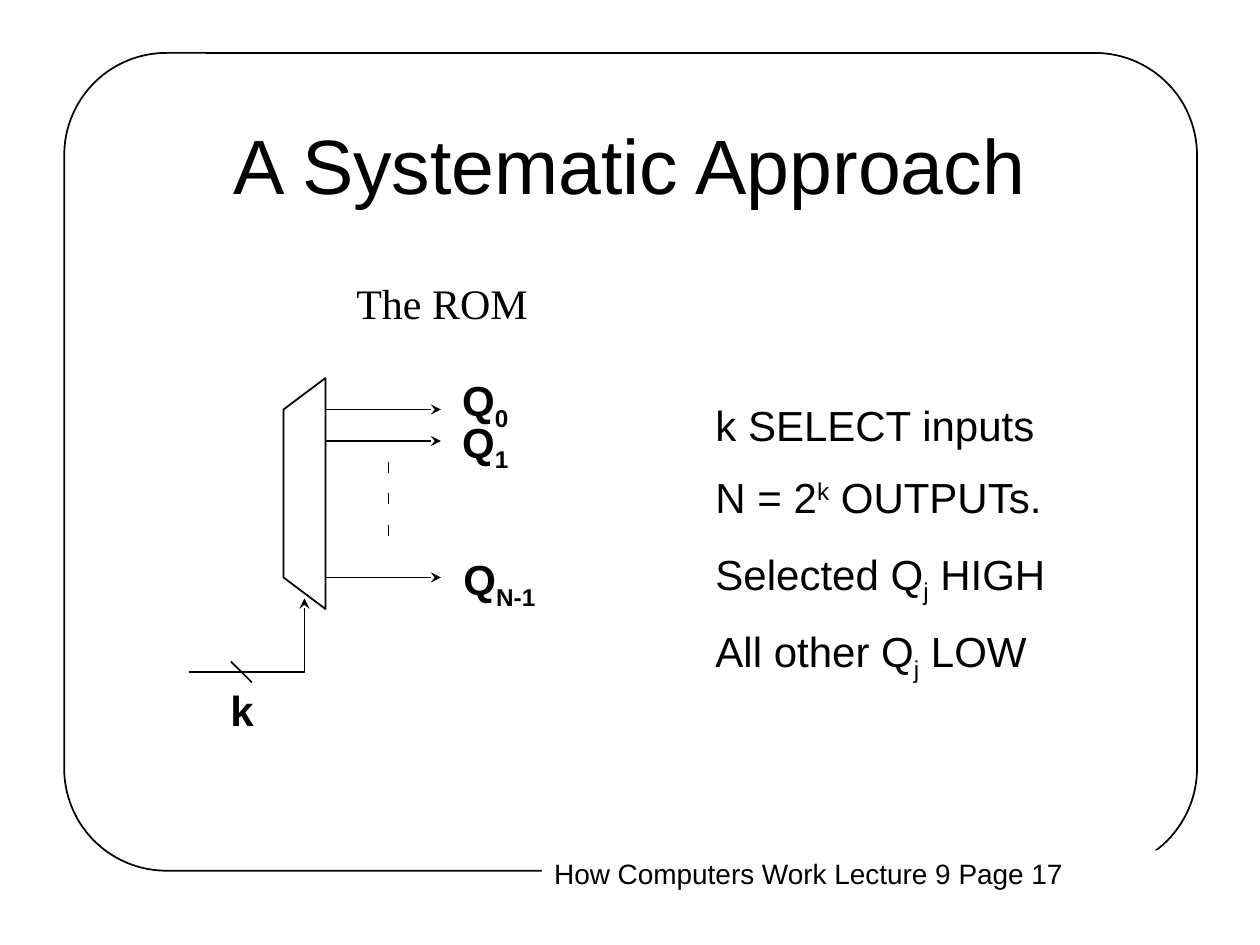
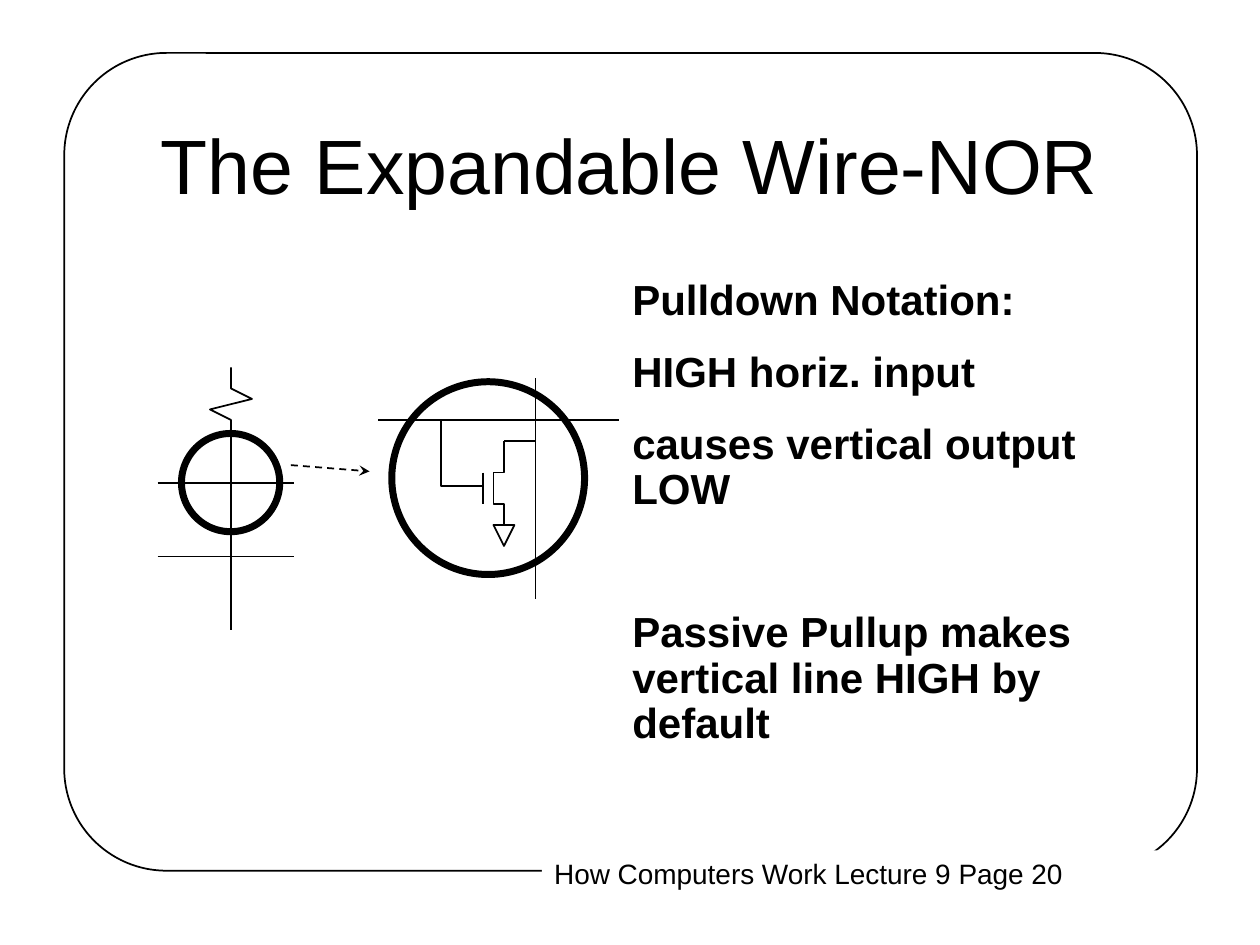
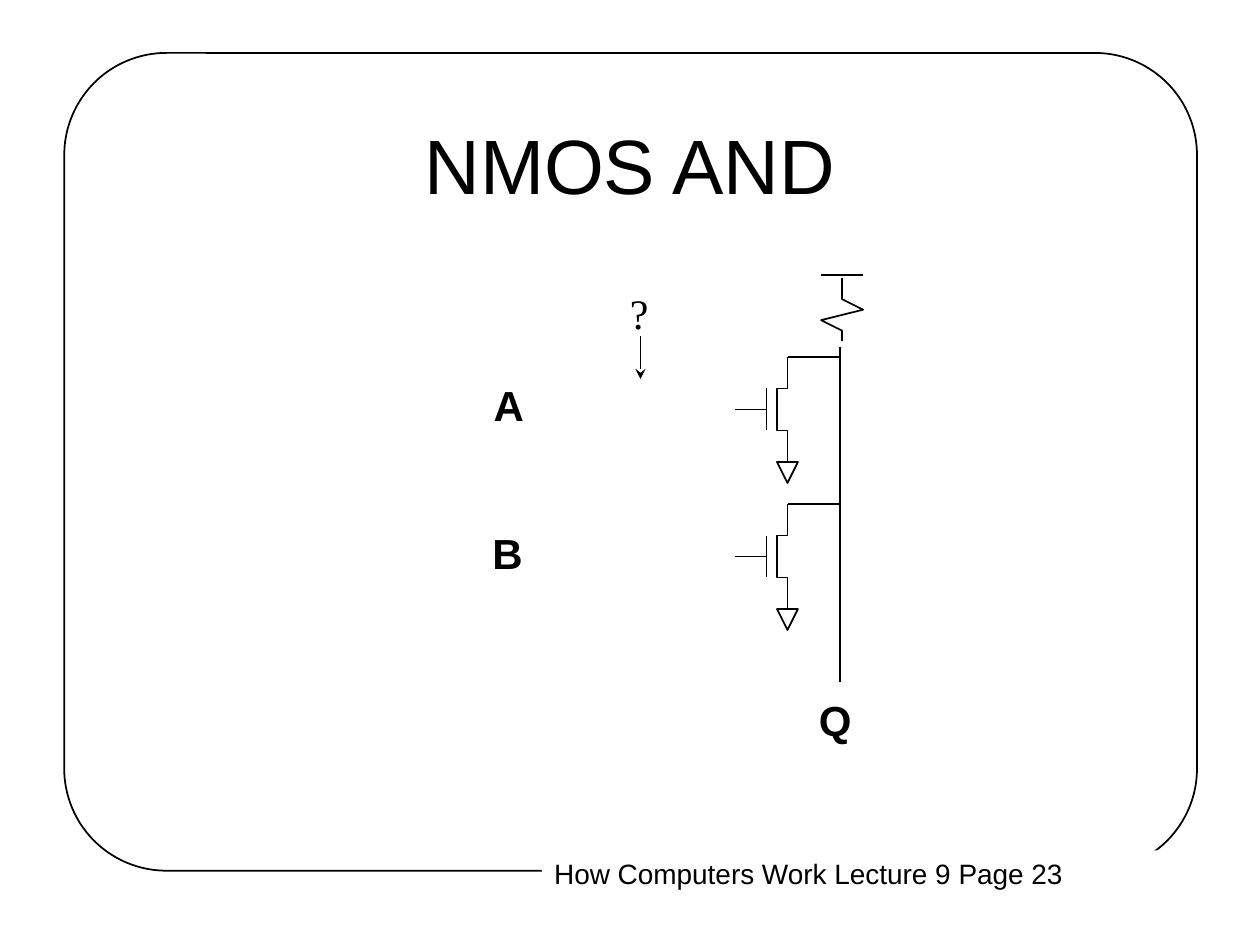
from pptx import Presentation
from pptx.dml.color import RGBColor
from pptx.enum.dml import MSO_LINE
from pptx.enum.shapes import MSO_CONNECTOR, MSO_SHAPE
from pptx.enum.text import MSO_ANCHOR, MSO_AUTO_SIZE, PP_ALIGN
from pptx.oxml.ns import qn
from pptx.util import Emu, Inches, Pt
from lxml import etree

STRAIGHT = MSO_CONNECTOR.STRAIGHT
OVAL, ROUNDED, RECTANGLE = MSO_SHAPE.OVAL, MSO_SHAPE.ROUNDED_RECTANGLE, MSO_SHAPE.RECTANGLE
DASH = MSO_LINE.DASH
TOP, MIDDLE = MSO_ANCHOR.TOP, MSO_ANCHOR.MIDDLE
LEFT, CENTER = PP_ALIGN.LEFT, PP_ALIGN.CENTER
FIT = MSO_AUTO_SIZE.SHAPE_TO_FIT_TEXT

INK, PAPER = "000000", "FFFFFF"
SANS, SERIF = "Arial", "Times New Roman"
SUB, SUPER = -25000, 30000
PARA_GAP = 15
SECTION_GAP = 56
GRID = 12  # drawing units per inch

# A paragraph is a list of spans; a span is (text, baseline shift).
DECODER_NOTES = [
    [("k SELECT inputs", 0)],
    [("N = 2", 0), ("k", SUPER), (" OUTPUTs.", 0)],
    [("Selected Q", 0), ("j", SUB), (" HIGH", 0)],
    [("All other Q", 0), ("j", SUB), (" LOW", 0)],
]
PULLDOWN_NOTES = [
    [("Pulldown Notation:", 0)],
    [("HIGH horiz. input", 0)],
    [("causes vertical output LOW", 0)],
    [("Passive Pullup makes vertical line HIGH by default", 0)],
]
# Subscript, label position in inches, label width, wire height in grid units
DECODER_OUTPUTS = [
    ("0", 3.57, 2.93, 0.57, 39),
    ("1", 3.57, 3.26, 0.57, 42),
    ("N-1", 3.58, 4.35, 0.77, 55),
]
# Input name, label position in inches, height of the drain in grid units
AND_INPUTS = [("A", 3.82, 3.01, 34), ("B", 3.81, 4.18, 48)]


def color(hex_text):
    return RGBColor.from_string(hex_text)


def grid(units):
    return Emu(round(Inches(1) * units / GRID))


def stroke(shape, weight=1, arrow=False, dash=None):
    shape.line.color.rgb = color(INK)
    shape.line.width = Pt(weight)
    if dash:
        shape.line.dash_style = dash
    if arrow:
        outline = shape._element.spPr.find(qn("a:ln"))
        etree.SubElement(outline, qn("a:tailEnd"), type="stealth")


def paint(shape, fill):
    shape.shadow.inherit = False
    if fill:
        shape.fill.solid()
        shape.fill.fore_color.rgb = color(fill)
    else:
        shape.fill.background()


def wire(page, x1, y1, x2, y2, arrow=False, dash=None):
    """Straight line between two grid points."""
    line = page.shapes.add_connector(STRAIGHT, grid(x1), grid(y1), grid(x2), grid(y2))
    stroke(line, arrow=arrow, dash=dash)
    etree.SubElement(line._element.spPr, qn("a:effectLst"))


def outline(page, points, closed=False, fill=None, arrow=False):
    """Polyline or polygon through grid points."""
    start, *rest = [(grid(x), grid(y)) for x, y in points]
    builder = page.shapes.build_freeform(*start)
    builder.add_line_segments(rest, close=closed)
    shape = builder.convert_to_shape()
    paint(shape, fill)
    stroke(shape, arrow=arrow)


def circle(page, left, top, size, fill=None):
    shape = page.shapes.add_shape(OVAL, *map(Inches, (left, top, size, size)))
    paint(shape, fill)
    stroke(shape, weight=4)


def write(box, paragraphs, size=24, font=SANS, bold=False, spacing=0.9,
          align=LEFT, anchor=TOP, wrap=False, gaps=()):
    frame = box.text_frame
    frame.word_wrap = wrap
    frame.vertical_anchor = anchor
    for index, spans in enumerate(paragraphs):
        para = frame.add_paragraph() if index else frame.paragraphs[0]
        para.alignment = align
        para.line_spacing = spacing
        if index:
            para.space_before = Pt(gaps[index - 1])
        para.font.size, para.font.name, para.font.bold = Pt(size), font, bold
        para.font.color.rgb = color(INK)
        for text, shift in spans:
            span = para.add_run()
            span.text = text
            if shift:
                span._r.get_or_add_rPr().set("baseline", str(shift))


def text(page, left, top, width, height, paragraphs, **style):
    box = page.shapes.add_textbox(*map(Inches, (left, top, width, height)))
    box.text_frame.auto_size = FIT
    write(box, paragraphs, **style)


def label(page, left, top, word, width=0.46, height=0.46, **style):
    text(page, left, top, width, height, [[(word, 0)]], **style)


def resistor(page, x, y):
    """Vertical zigzag whose upper end is at x, y."""
    steps = [(0, 0), (0, 2), (2, 3), (-2, 4), (0, 5), (0, 6)]
    outline(page, [(x + dx, y + dy) for dx, dy in steps])


def transistor(page, x, y, bus, channel, source):
    """Pulldown with its drain at x, y tied to a vertical bus and its source grounded."""
    top = y + 3
    bottom = top + channel
    ground = bottom + source
    outline(page, [(x, y), (x, top), (x - 1, top), (x - 1, bottom), (x, bottom), (x, ground)])
    outline(page, [(x - 1, ground), (x + 1, ground), (x, ground + 2)], closed=True, fill=PAPER)
    wire(page, x - 2, top, x - 2, bottom)
    wire(page, x, y, bus, y)


def new_page(deck, title, number):
    page = deck.slides.add_slide(deck.slide_layouts[6])
    border = page.shapes.add_shape(ROUNDED, *map(Inches, (0.51, 0.42, 8.99, 6.49)))
    border.adjustments[0] = 0.125
    paint(border, None)
    stroke(border)
    footer = page.shapes.add_shape(RECTANGLE, *map(Inches, (4.3, 6.75, 5.01, 0.37)))
    paint(footer, PAPER)
    footer.line.fill.background()
    write(footer, [[(f"How Computers Work Lecture 9 Page {number}", 0)]], size=16, spacing=1)
    heading = page.shapes.add_textbox(*map(Inches, (0.75, 0.67, 8.5, 1.25)))
    write(heading, [[(title, 0)]], size=44, spacing=1, align=CENTER, anchor=MIDDLE, wrap=True)
    return page


def draw_decoder(page):
    outline(page, [(27, 39), (27, 55), (31, 58), (31, 36)], closed=True)
    outline(page, [(18, 64), (29, 64), (29, 57)], arrow=True)
    wire(page, 22, 63, 24, 65)
    label(page, 1.73, 5.43, "k", width=0.39, bold=True)
    for subscript, left, top, width, height in DECODER_OUTPUTS:
        wire(page, 31, height, 42, height, arrow=True)
        text(page, left, top, width, 0.51, [[("Q", 0), (subscript, SUB)]], bold=True)
    for y in (44, 47, 50):
        wire(page, 37, y, 37, y + 1)
    text(page, 5.58, 3.17, 2.92, 2.62, DECODER_NOTES, wrap=True, gaps=[PARA_GAP] * 3)
    label(page, 2.73, 2.15, "The ROM", width=1.56, height=0.5, font=SERIF, spacing=1)


def draw_wire_nor(page):
    circle(page, 1.44, 3.44, 0.78, fill=PAPER)
    for y in (46, 53):
        wire(page, 15, y, 28, y)
    wire(page, 22, 41, 22, 60)
    resistor(page, 22, 35)
    wire(page, 36, 40, 59, 40)
    wire(page, 51, 36, 51, 57)
    transistor(page, 48, 42, bus=51, channel=3, source=2)
    outline(page, [(46, 46.3), (42, 46.3), (42, 40)])
    circle(page, 3.11, 3.03, 1.53)
    text(page, 4.92, 2.17, 4.27, 3.81, PULLDOWN_NOTES, bold=True, wrap=True,
         gaps=[PARA_GAP, PARA_GAP, SECTION_GAP])
    wire(page, 27.7, 44.3, 35.2, 44.9, arrow=True, dash=DASH)


def draw_nmos_and(page):
    for name, left, top, drain in AND_INPUTS:
        transistor(page, 75, drain, bus=80, channel=4, source=3)
        wire(page, 73, drain + 5, 70, drain + 5)
        label(page, left, top, name, width=0.44, bold=True)
    wire(page, 80, 33, 80, 65)
    resistor(page, 80.2, 26.5)
    wire(page, 78.2, 26.2, 82.2, 26.2)
    label(page, 6.4, 5.51, "Q", bold=True)
    label(page, 4.9, 2.23, "?", width=0.35, height=0.5, font=SERIF, spacing=1, wrap=True)
    wire(page, 61, 32, 61, 36.1, arrow=True)


PAGES = [
    ("A Systematic Approach", 17, draw_decoder),
    ("The Expandable Wire-NOR", 20, draw_wire_nor),
    ("NMOS AND", 23, draw_nmos_and),
]


def main():
    deck = Presentation()
    deck.slide_width, deck.slide_height = Inches(10), Inches(7.5)
    for title, number, draw in PAGES:
        draw(new_page(deck, title, number))
    deck.save("out.pptx")


if __name__ == "__main__":
    main()
